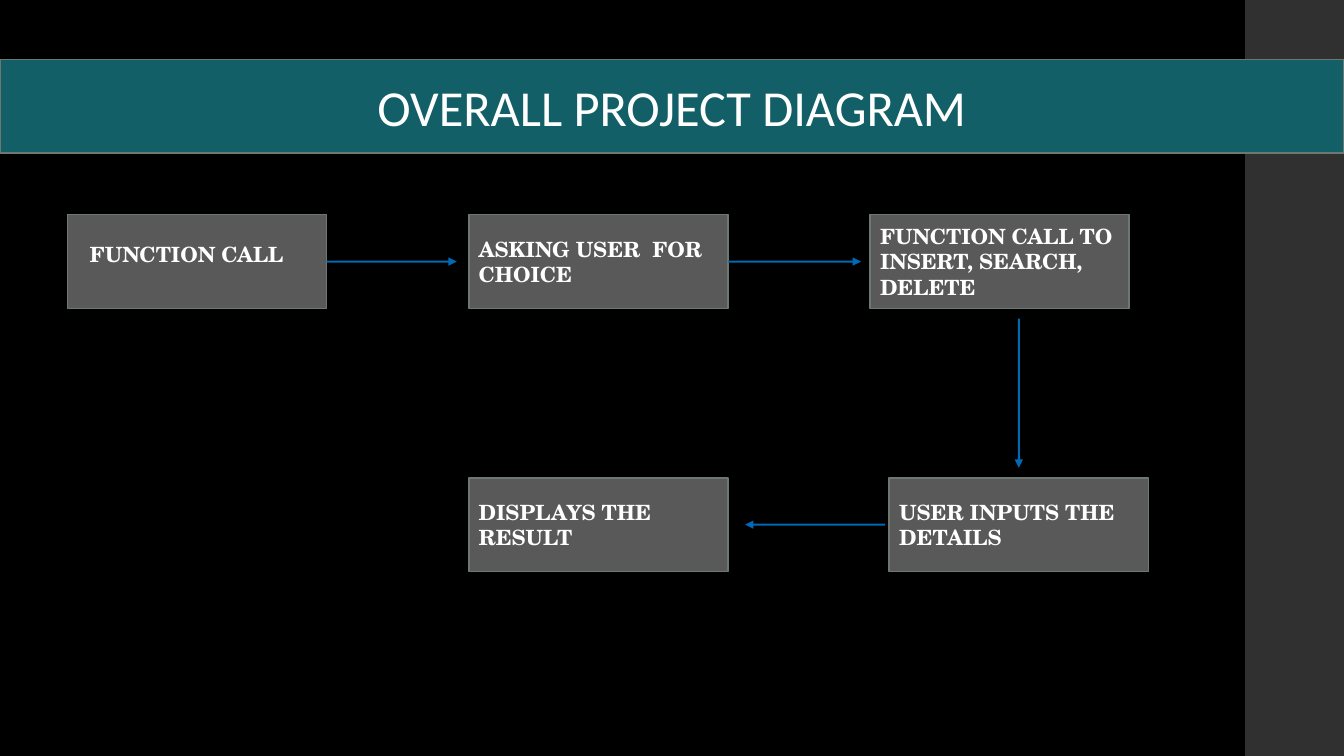
from dataclasses import dataclass

from lxml import etree
from pptx import Presentation
from pptx.dml.color import RGBColor
from pptx.enum.shapes import MSO_CONNECTOR, MSO_SHAPE
from pptx.enum.text import MSO_ANCHOR, PP_ALIGN
from pptx.oxml.ns import qn
from pptx.util import Inches, Pt

RECTANGLE = MSO_SHAPE.RECTANGLE
STRAIGHT = MSO_CONNECTOR.STRAIGHT
MIDDLE = MSO_ANCHOR.MIDDLE
LEFT, CENTER = PP_ALIGN.LEFT, PP_ALIGN.CENTER

# Connection sites of a rectangle
SITE_TOP, SITE_LEFT, SITE_BOTTOM, SITE_RIGHT = range(4)
OPPOSITE = {SITE_LEFT: SITE_RIGHT, SITE_RIGHT: SITE_LEFT, SITE_BOTTOM: SITE_TOP}
DIRECTION = {SITE_LEFT: (-1, 0), SITE_RIGHT: (1, 0), SITE_BOTTOM: (0, 1)}

# Grid in inches
PAGE_W, PAGE_H = 13.33, 7.5
GRID_LEFT, GRID_TOP = 0.67, 2.13
COLUMN_STEP, ROW_STEP = 3.98, 2.61
BOX_W, BOX_H = 2.57, 0.93


@dataclass(frozen=True)
class Theme:
    background: str = "000000"
    side_band: str = "303030"
    banner: str = "135F67"
    box: str = "595959"
    outline: str = "6D7871"
    arrow: str = "0070C0"
    text: str = "FFFFFF"
    title_font: str = "Calibri"
    body_font: str = "TeX Gyre Schola"
    title_size: float = 36
    body_size: float = 15
    outline_width: float = 1.1
    arrow_width: float = 1.35


THEME = Theme()


def color(code):
    return RGBColor.from_string(code)


def write(shape, text, *, font=THEME.body_font, size=THEME.body_size,
          bold=True, align=LEFT, anchor=MIDDLE):
    """Fill a shape with one paragraph for each line of text."""
    frame = shape.text_frame
    frame.word_wrap = True
    frame.vertical_anchor = anchor
    for number, line in enumerate(text.split("\n")):
        para = frame.add_paragraph() if number else frame.paragraphs[0]
        para.alignment = align
        span = para.add_run()
        span.text = line
        span.font.name = font
        span.font.size = Pt(size)
        span.font.bold = bold
        span.font.color.rgb = color(THEME.text)


def add_panel(page, left, top, width, height, fill, outlined=True):
    panel = page.shapes.add_shape(
        RECTANGLE, Inches(left), Inches(top), Inches(width), Inches(height))
    panel.shadow.inherit = False
    panel.fill.solid()
    panel.fill.fore_color.rgb = color(fill)
    if outlined:
        panel.line.color.rgb = color(THEME.outline)
        panel.line.width = Pt(THEME.outline_width)
    else:
        panel.line.fill.background()
    return panel


def add_step(page, column, row, text="", shift=0):
    """Place a step box in a grid cell, moved right by shift inches."""
    box = add_panel(page, GRID_LEFT + column * COLUMN_STEP + shift,
                    GRID_TOP + row * ROW_STEP, BOX_W, BOX_H, THEME.box)
    if text:
        write(box, text)
    return box


def add_label(page, box, text):
    """Write a label over a box, a little above its middle."""
    label = page.shapes.add_textbox(
        box.left, box.top + Inches(0.22), box.width, Inches(0.35))
    write(label, text, anchor=MSO_ANCHOR.TOP)
    label.text_frame.margin_left = Inches(0.22)


def side_middle(box, site):
    dx, dy = DIRECTION.get(site, (0, -1))
    return (box.left + box.width * (1 + dx) // 2,
            box.top + box.height * (1 + dy) // 2)


def add_arrow(page, start, end, site, start_gap, end_gap):
    """Point from a side of start to the facing side of end."""
    dx, dy = DIRECTION[site]
    start_x, start_y = side_middle(start, site)
    end_x, end_y = side_middle(end, OPPOSITE[site])
    if dy:
        start_x = end_x
    arrow = page.shapes.add_connector(
        STRAIGHT,
        start_x + dx * Inches(start_gap), start_y + dy * Inches(start_gap),
        end_x - dx * Inches(end_gap), end_y - dy * Inches(end_gap))
    if not start_gap:
        arrow.begin_connect(start, site)
    arrow.line.color.rgb = color(THEME.arrow)
    arrow.line.width = Pt(THEME.arrow_width)

    # Slight transparency, arrowhead and no shadow
    properties = arrow.line._get_or_add_ln()
    tint = properties.find(".//" + qn("a:srgbClr"))
    etree.SubElement(tint, qn("a:alpha"), val="95000")
    etree.SubElement(properties, qn("a:tailEnd"), type="triangle")
    etree.SubElement(arrow._element.spPr, qn("a:effectLst"))


def main():
    deck = Presentation()
    deck.slide_width, deck.slide_height = Inches(PAGE_W), Inches(PAGE_H)
    page = deck.slides.add_slide(deck.slide_layouts[6])
    page.background.fill.solid()
    page.background.fill.fore_color.rgb = color(THEME.background)

    # Side band and title banner
    add_panel(page, 12.35, 0, 1, PAGE_H, THEME.side_band, outlined=False)
    banner = add_panel(page, 0, 0.59, PAGE_W, BOX_H, THEME.banner)
    write(banner, "OVERALL PROJECT DIAGRAM", font=THEME.title_font,
          size=THEME.title_size, bold=False, align=CENTER)

    # Steps
    call = add_step(page, 0, 0)
    add_label(page, call, "FUNCTION CALL")
    choice = add_step(page, 1, 0, "ASKING USER  FOR CHOICE")
    operation = add_step(page, 2, 0, "FUNCTION CALL TO INSERT, SEARCH,\nDELETE")
    details = add_step(page, 2, 1, "USER INPUTS THE DETAILS", shift=0.19)
    result = add_step(page, 1, 1, "DISPLAYS THE RESULT")

    # Flow
    add_arrow(page, call, choice, SITE_RIGHT, 0, 0.12)
    add_arrow(page, choice, operation, SITE_RIGHT, 0, 0.09)
    add_arrow(page, operation, details, SITE_BOTTOM, 0.1, 0.1)
    add_arrow(page, details, result, SITE_LEFT, 0.04, 0.17)

    deck.save("out.pptx")


if __name__ == "__main__":
    main()
